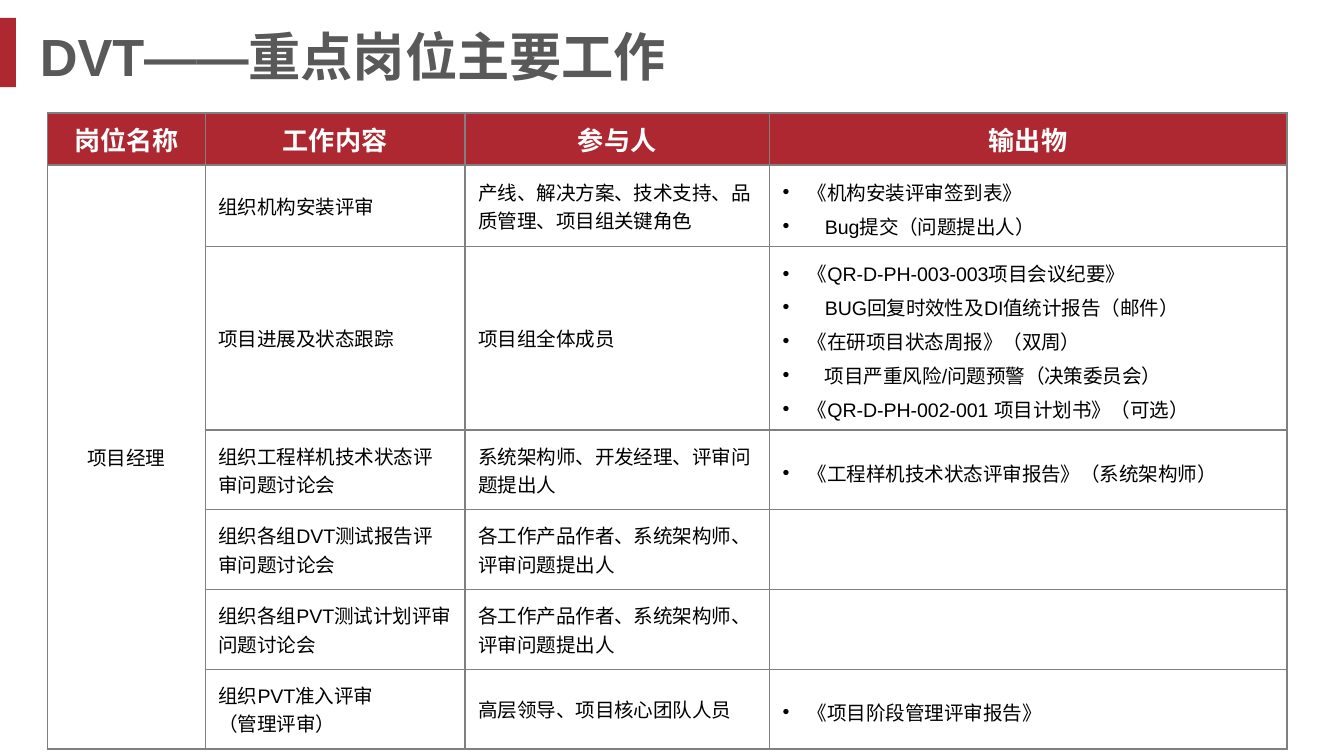
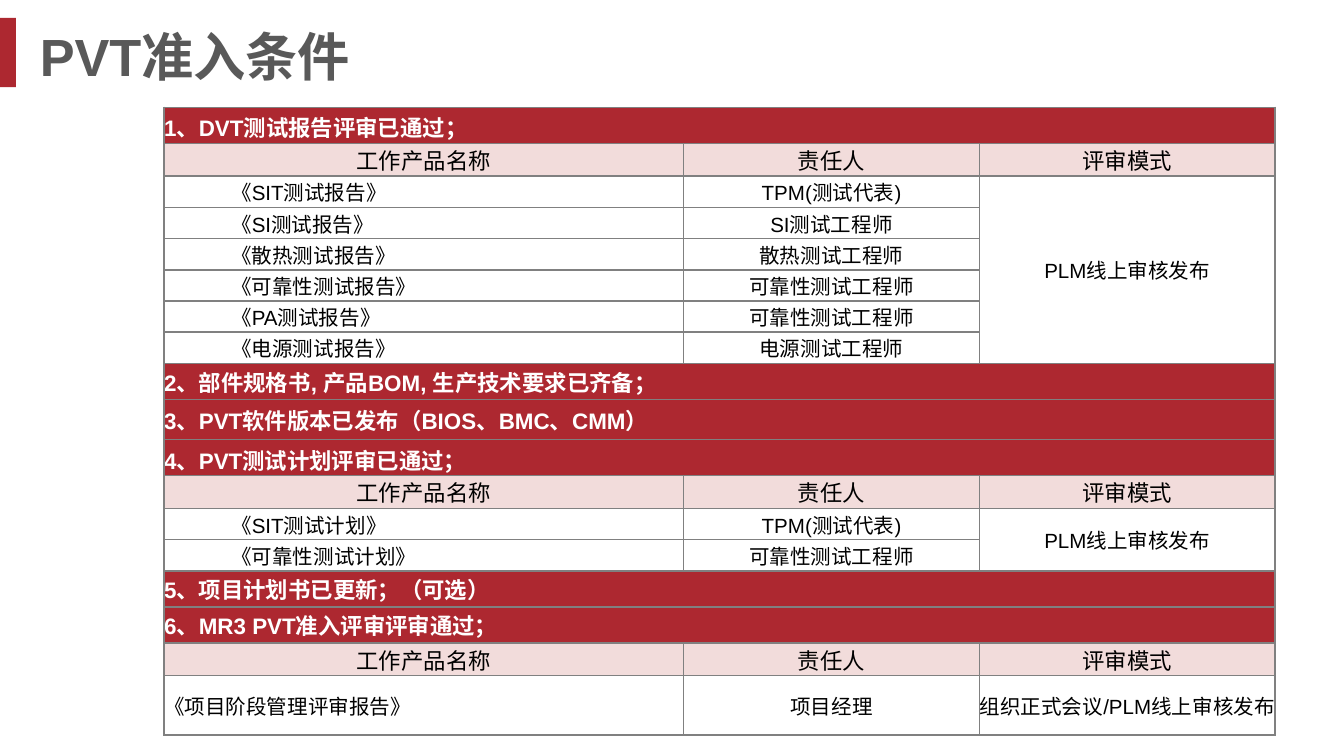
from dataclasses import dataclass, replace

from lxml.etree import SubElement
from pptx import Presentation
from pptx.dml.color import RGBColor
from pptx.enum.shapes import MSO_SHAPE
from pptx.enum.text import MSO_ANCHOR, MSO_AUTO_SIZE, PP_ALIGN
from pptx.oxml.ns import qn
from pptx.util import Cm, Pt


# Theme: colours and type sizes
@dataclass(frozen=True)
class Theme:
    font: str = "Arial"
    red: str = "AD2830"
    pink: str = "F2DCDB"
    grey: str = "595959"
    rule: str = "808080"
    white: str = "FFFFFF"
    black: str = "000000"
    title_size: float = 28
    header_size: float = 14
    banner_size: float = 12
    item_size: float = 11
    body_size: float = 10.5


@dataclass(frozen=True)
class CellStyle:
    size: float
    color: str = Theme.black
    fill: str = ""
    bold: bool = False
    align: PP_ALIGN = PP_ALIGN.LEFT
    anchor: MSO_ANCHOR = MSO_ANCHOR.MIDDLE
    margins: tuple = (0.25, 0.13)
    indent: float = 0
    bullet: bool = False


@dataclass(frozen=True)
class Inset:
    """A line of text set a little further from its bullet."""
    text: str


BULLET_INDENT = 0.48
EXTRA_INDENT = 0.32


class DeckBuilder:
    def __init__(self, theme):
        self.theme = theme
        self.deck = Presentation()
        self.deck.slide_width, self.deck.slide_height = Cm(25.4), Cm(14.29)
        self.page = None

    def add_page(self, title):
        self.page = self.deck.slides.add_slide(self.deck.slide_layouts[5])
        self.add_accent_bar()
        self.set_title(title)

    def add_accent_bar(self):
        bar = self.page.shapes.add_shape(
            MSO_SHAPE.RECTANGLE, 0, Cm(0.34), Cm(0.3), Cm(1.31))
        bar.shadow.inherit = False
        bar.fill.solid()
        bar.fill.fore_color.rgb = RGBColor.from_string(self.theme.red)
        bar.line.fill.background()

    def set_title(self, title):
        box = self.page.shapes.title
        box.left, box.top, box.width, box.height = Cm(0.5), Cm(0.36), Cm(20.6), Cm(1.4)
        frame = box.text_frame
        frame.text = title
        frame.word_wrap = True
        frame.auto_size = MSO_AUTO_SIZE.NONE
        frame.vertical_anchor = MSO_ANCHOR.MIDDLE
        para = frame.paragraphs[0]
        para.alignment = PP_ALIGN.LEFT
        self.set_font(para, self.theme.title_size, self.theme.grey, True)

    def set_font(self, para, size, color, bold):
        para.font.name = self.theme.font
        para.font.size = Pt(size)
        para.font.bold = bold
        para.font.color.rgb = RGBColor.from_string(color)

    def add_table(self, left, top, widths, heights, rows, styles):
        """None continues the cell above; a row with one entry spans the table."""
        frame = self.page.shapes.add_table(
            len(rows), len(widths), Cm(left), Cm(top), Cm(sum(widths)), Cm(sum(heights)))
        table = frame.table
        table.first_row = table.horz_banding = False
        for column, width in zip(table.columns, widths):
            column.width = Cm(width)
        for row, height in zip(table.rows, heights):
            row.height = Cm(height)
        last = len(widths) - 1
        for r, (entries, row_styles) in enumerate(zip(rows, styles)):
            padded = list(entries) + [None] * (len(widths) - len(entries))
            for c, (entry, style) in enumerate(zip(padded, row_styles)):
                self.fill_cell(table.cell(r, c), entry, style)
            if len(entries) == 1:
                table.cell(r, 0).merge(table.cell(r, last))
        self.merge_down(table, rows)

    def merge_down(self, table, rows):
        for c in range(len(table.columns)):
            start = 0
            for r in range(1, len(rows) + 1):
                if r < len(rows) and len(rows[r]) > c and rows[r][c] is None:
                    continue
                if r - start > 1:
                    table.cell(start, c).merge(table.cell(r - 1, c))
                start = r

    def fill_cell(self, cell, entry, style):
        side, edge = style.margins
        cell.margin_left = cell.margin_right = Cm(side)
        cell.margin_top = cell.margin_bottom = Cm(edge)
        cell.vertical_anchor = style.anchor
        self.set_borders(cell)
        if style.fill:
            cell.fill.solid()
            cell.fill.fore_color.rgb = RGBColor.from_string(style.fill)
        else:
            cell.fill.background()
        lines = entry if isinstance(entry, list) else [entry or ""]
        for number, line in enumerate(lines):
            frame = cell.text_frame
            para = frame.add_paragraph() if number else frame.paragraphs[0]
            self.write_line(para, line, style)

    def write_line(self, para, line, style):
        inset = isinstance(line, Inset)
        text = line.text if inset else line
        if text:
            para.add_run().text = text
        para.alignment = style.align
        properties = para._p.get_or_add_pPr()
        if style.bullet and text:
            para.line_spacing = 1.2
            indent = BULLET_INDENT + (EXTRA_INDENT if inset else 0)
            properties.set("marL", str(Cm(indent)))
            properties.set("indent", str(-Cm(indent)))
            SubElement(properties, qn("a:buFont"), typeface=self.theme.font)
            SubElement(properties, qn("a:buChar"), char="•")
        elif style.indent:
            properties.set("marL", str(Cm(style.indent)))
        self.set_font(para, style.size, style.color, style.bold)

    def set_borders(self, cell):
        properties = cell._tc.get_or_add_tcPr()
        for side in ("lnL", "lnR", "lnT", "lnB"):
            line = SubElement(properties, qn(f"a:{side}"), w=str(Pt(1)))
            fill = SubElement(line, qn("a:solidFill"))
            SubElement(fill, qn("a:srgbClr"), val=self.theme.rule)


def add_duties_page(builder):
    theme = builder.theme
    builder.add_page("DVT——重点岗位主要工作")
    header = CellStyle(theme.header_size, theme.white, theme.red, True,
                       PP_ALIGN.CENTER, MSO_ANCHOR.TOP)
    body = CellStyle(theme.body_size)
    duty_styles = [replace(body, align=PP_ALIGN.CENTER), body, body,
                   replace(body, bullet=True)]
    authors = "各工作产品作者、系统架构师、评审问题提出人"
    duties = [
        ("组织机构安装评审", "产线、解决方案、技术支持、品质管理、项目组关键角色",
         ["《机构安装评审签到表》", Inset("Bug提交（问题提出人）")]),
        ("项目进展及状态跟踪", "项目组全体成员",
         ["《QR-D-PH-003-003项目会议纪要》",
          Inset("BUG回复时效性及DI值统计报告（邮件）"),
          "《在研项目状态周报》（双周）",
          Inset("项目严重风险/问题预警（决策委员会）"),
          "《QR-D-PH-002-001 项目计划书》（可选）"]),
        ("组织工程样机技术状态评审问题讨论会", "系统架构师、开发经理、评审问题提出人",
         "《工程样机技术状态评审报告》（系统架构师）"),
        ("组织各组DVT测试报告评审问题讨论会", authors, ""),
        ("组织各组PVT测试计划评审问题讨论会", authors, ""),
        (["组织PVT准入评审", "（管理评审）"], "高层领导、项目核心团队人员",
         "《项目阶段管理评审报告》"),
    ]
    rows = [("岗位名称", "工作内容", "参与人", "输出物")]
    rows += [(None if number else "项目经理", *duty) for number, duty in enumerate(duties)]
    builder.add_table(
        0.9, 2.14, [2.98, 4.91, 5.75, 9.78], [0.9] + [1.51] * len(duties),
        rows, [[header] * 4] + [duty_styles] * len(duties))


def add_entry_page(builder):
    theme = builder.theme
    builder.add_page("PVT准入条件")
    banner = CellStyle(theme.banner_size, theme.white, theme.red, True, margins=(0, 0))
    low_banner = replace(banner, anchor=MSO_ANCHOR.BOTTOM)
    heading = CellStyle(theme.banner_size, fill=theme.pink, align=PP_ALIGN.CENTER,
                        anchor=MSO_ANCHOR.BOTTOM, margins=(0, 0))
    item = CellStyle(theme.item_size, margins=(0, 0))
    centred = replace(item, align=PP_ALIGN.CENTER)
    online = "PLM线上审核发布"

    # Each condition: banner, banner style, banner height, work products
    conditions = [
        ("1、DVT测试报告评审已通过；", low_banner, 0.68, [
            ("《SIT测试报告》", "TPM(测试代表)", online),
            ("《SI测试报告》", "SI测试工程师", None),
            ("《散热测试报告》", "散热测试工程师", None),
            ("《可靠性测试报告》", "可靠性测试工程师", None),
            ("《PA测试报告》", "可靠性测试工程师", None),
            ("《电源测试报告》", "电源测试工程师", None)]),
        ("2、部件规格书, 产品BOM, 生产技术要求已齐备；", banner, 0.68, []),
        ("3、PVT软件版本已发布（BIOS、BMC、CMM）", banner, 0.76, []),
        ("4、PVT测试计划评审已通过；", low_banner, 0.68, [
            ("《SIT测试计划》", "TPM(测试代表)", online),
            ("《可靠性测试计划》", "可靠性测试工程师", None)]),
        ("5、项目计划书已更新；（可选）", banner, 0.68, []),
        ("6、MR3 PVT准入评审评审通过；", banner, 0.68, [
            ("《项目阶段管理评审报告》", "项目经理", "组织正式会议/PLM线上审核发布")]),
    ]
    rows, styles, heights = [], [], []
    for title, title_style, title_height, products in conditions:
        rows.append((title,))
        styles.append([title_style] * 3)
        heights.append(title_height)
        if products:
            rows.append(("工作产品名称", "责任人", "评审模式"))
            styles.append([heading] * 3)
            heights.append(0.62)
        name = replace(item, indent=1.27) if len(products) > 1 else item
        for product in products:
            rows.append(product)
            styles.append([name, centred, centred])
            heights.append(0.59)
    builder.add_table(3.1, 2.03, [9.82, 5.59, 5.59], heights, rows, styles)


def main():
    builder = DeckBuilder(Theme())
    add_duties_page(builder)
    add_entry_page(builder)
    builder.deck.save("out.pptx")


if __name__ == "__main__":
    main()
